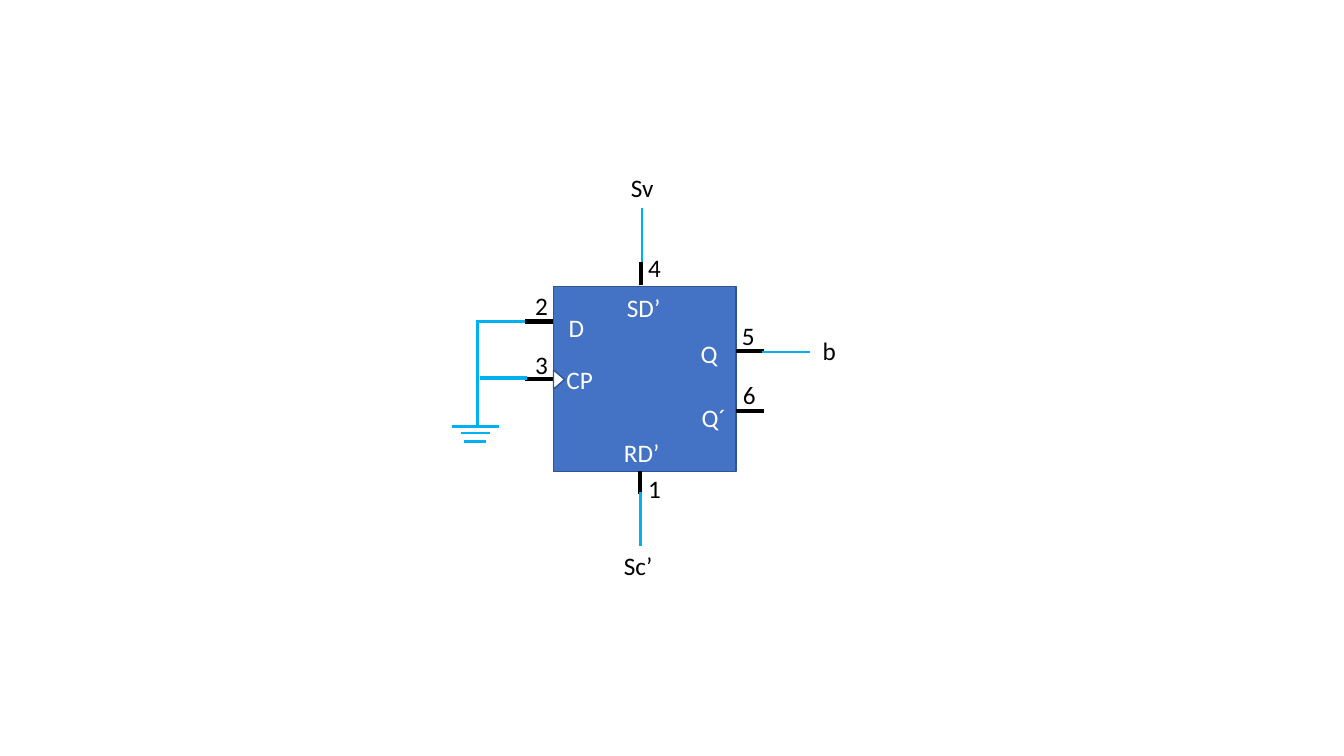
from lxml import etree
from pptx import Presentation
from pptx.dml.color import RGBColor
from pptx.enum.shapes import MSO_CONNECTOR, MSO_SHAPE
from pptx.oxml.ns import qn
from pptx.util import Inches, Pt

RECT = MSO_SHAPE.RECTANGLE
TRIANGLE = MSO_SHAPE.ISOSCELES_TRIANGLE
STRAIGHT = MSO_CONNECTOR.STRAIGHT
COLORS = {"chip": "4472C4", "edge": "325491", "wire": "00B0F0",
          "black": "000000", "white": "FFFFFF"}


def rgb(name):
    return RGBColor.from_string(COLORS[name])


def write(tf, text, size=18, color="black", font="Calibri"):
    tf.word_wrap = True
    r = tf.paragraphs[0].add_run()
    r.text = text
    r.font.size = Pt(size)
    r.font.name = font
    r.font.color.rgb = rgb(color)


class Diagram:
    def __init__(self, slide):
        self.shapes = slide.shapes

    def shape(self, kind, x, y, w, h, fill, rotation=0):
        sp = self.shapes.add_shape(kind, Inches(x), Inches(y), Inches(w), Inches(h))
        sp.shadow.inherit = False
        sp.fill.solid()
        sp.fill.fore_color.rgb = rgb(fill)
        sp.line.color.rgb = rgb("edge")
        sp.line.width = Pt(1)
        sp.rotation = rotation

    def line(self, x1, y1, x2, y2, color="wire", width=2.25):
        cn = self.shapes.add_connector(STRAIGHT, Inches(x1), Inches(y1), Inches(x2), Inches(y2))
        cn.line.color.rgb = rgb(color)
        cn.line.width = Pt(width)
        etree.SubElement(cn._element.spPr, qn("a:effectLst"))

    def label(self, text, x, y, w, h=0.4, color="black"):
        sp = self.shapes.add_textbox(Inches(x), Inches(y), Inches(w), Inches(h))
        write(sp.text_frame, text, color=color)


prs = Presentation()
prs.slide_width, prs.slide_height = Inches(13.33), Inches(7.5)
d = Diagram(prs.slides.add_slide(prs.slide_layouts[6]))

d.shape(RECT, 5.49, 2.84, 1.81, 1.84, "chip")
for text, x, y, w in [("D", 5.54, 3.05, 0.45), ("CP", 5.52, 3.57, 0.52),
                      ("Q", 6.85, 3.31, 0.31), ("Q´", 6.86, 3.94, 0.48),
                      ("SD’", 6.12, 2.85, 0.56), ("RD’", 6.09, 4.29, 0.56)]:
    d.label(text, x, y, w, color="white")

for pin in [(5.21, 3.19, 5.48, 3.19), (5.21, 3.76, 5.48, 3.76),
            (7.3, 3.48, 7.58, 3.48), (7.3, 4.08, 7.58, 4.08),
            (6.36, 2.83, 6.36, 2.6), (6.35, 4.9, 6.35, 4.67)]:
    d.line(*pin, color="black", width=3)
d.shape(TRIANGLE, 5.45, 3.71, 0.19, 0.11, "white", rotation=90)

for wire in [(5.21, 3.19, 4.74, 3.19), (5.23, 3.75, 4.76, 3.75),
             (4.74, 4.23, 4.74, 3.17), (4.95, 4.23, 4.48, 4.23),
             (6.35, 5.42, 6.35, 4.88)]:
    d.line(*wire)
for wire in [(4.86, 4.3, 4.57, 4.3), (4.82, 4.38, 4.6, 4.38),
             (6.37, 2.6, 6.37, 2.06), (8.03, 3.49, 7.56, 3.49)]:
    d.line(*wire, width=1.5)

for text, x, y, w in [("b", 8.06, 3.28, 0.47), ("Sv", 6.16, 1.66, 0.47),
                      ("Sc’", 6.09, 5.41, 0.54)]:
    d.label(text, x, y, w)
for number, x, y in [("2", 5.21, 2.83), ("4", 6.33, 2.45), ("5", 7.26, 3.13),
                     ("6", 7.27, 3.71), ("1", 6.33, 4.65), ("3", 5.21, 3.42)]:
    d.label(number, x, y, 0.34, h=0.41)

prs.save("out.pptx")
